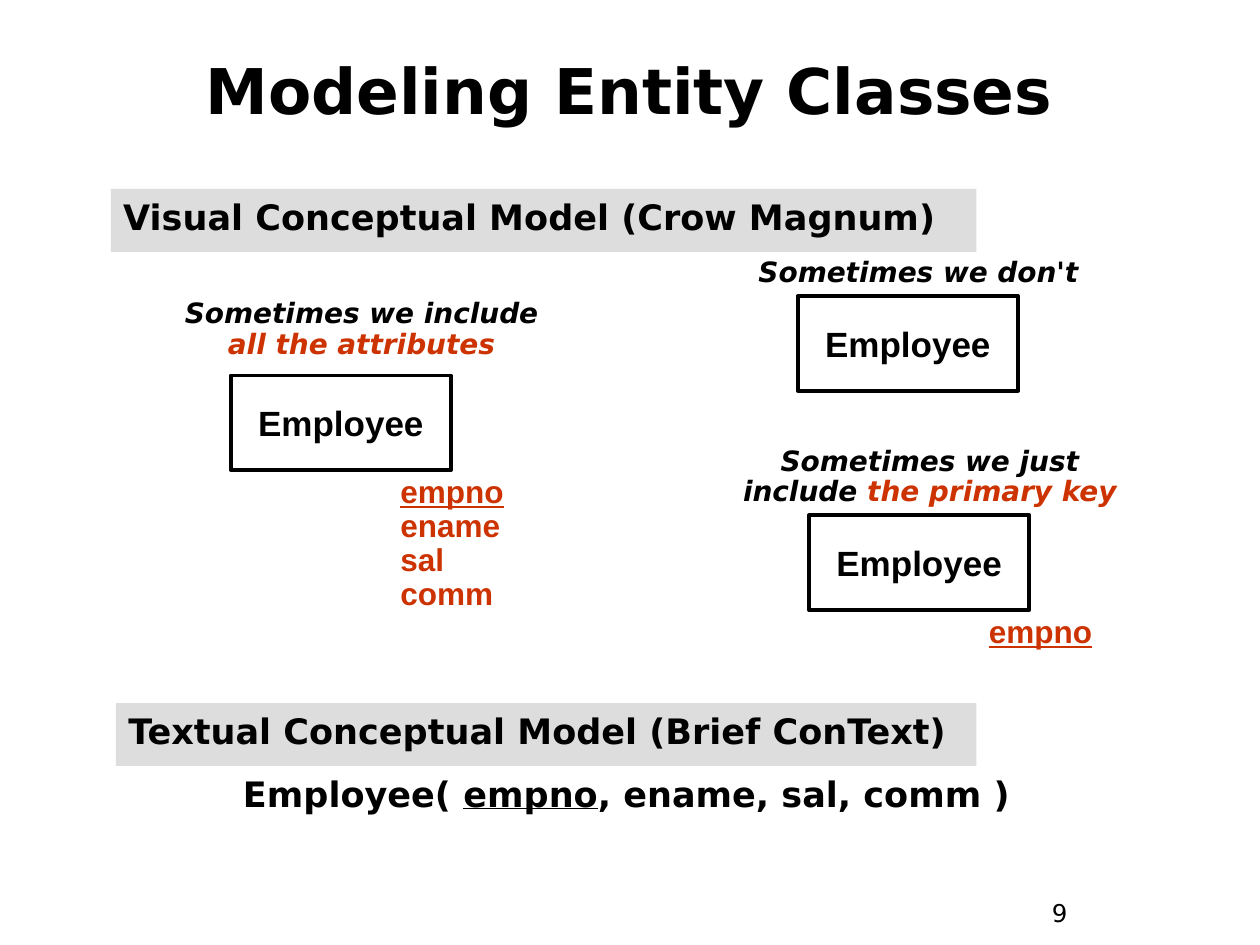
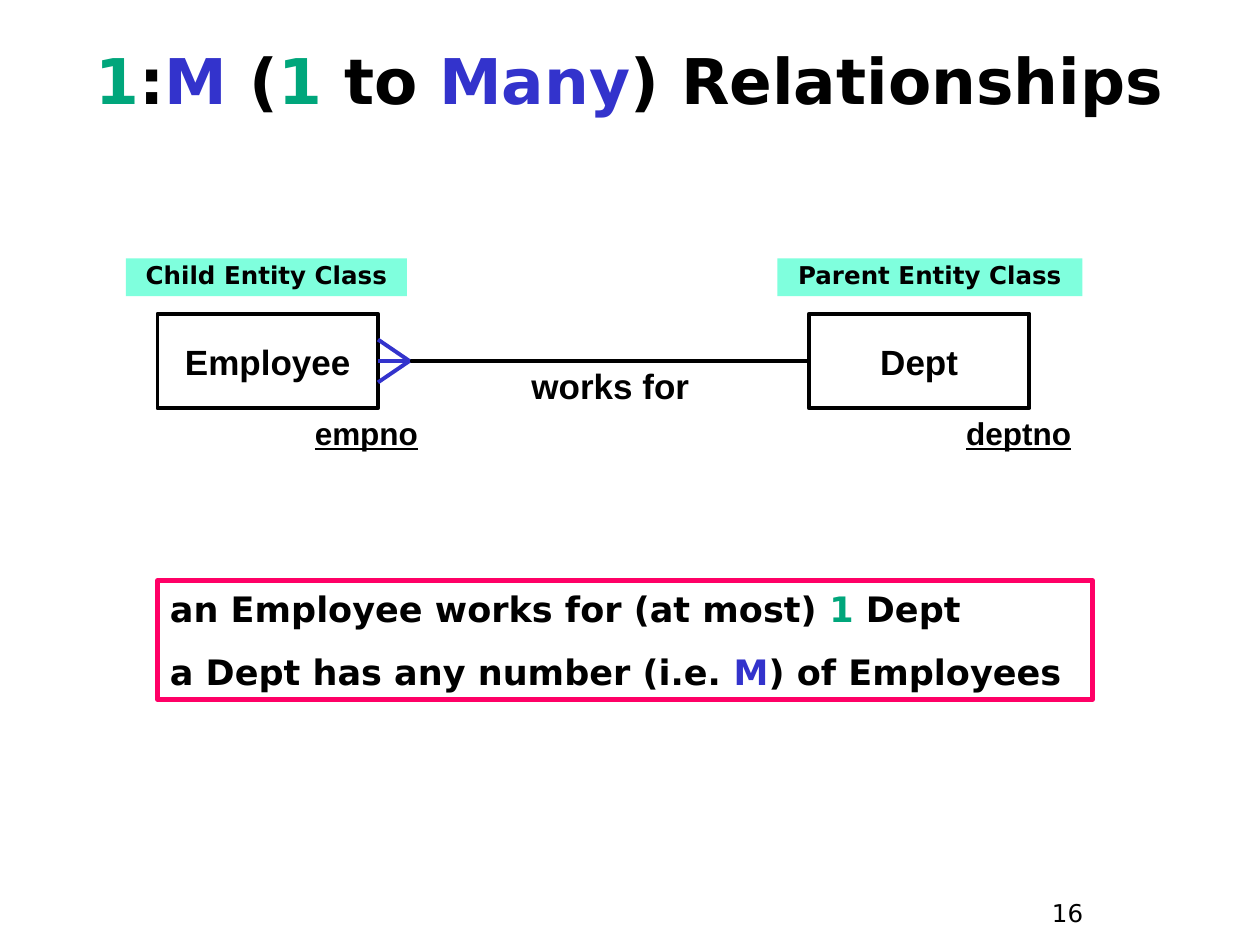
from collections import namedtuple

from lxml.etree import SubElement
from pptx import Presentation
from pptx.dml.color import RGBColor
from pptx.enum.shapes import MSO_CONNECTOR, MSO_SHAPE
from pptx.enum.text import MSO_ANCHOR, MSO_AUTO_SIZE, PP_ALIGN
from pptx.oxml.ns import qn
from pptx.util import Inches, Pt

# Shared look
BLACK = RGBColor(0x00, 0x00, 0x00)
RED = RGBColor(0xCC, 0x33, 0x00)
GREEN = RGBColor(0x00, 0xA6, 0x7B)
BLUE = RGBColor(0x33, 0x33, 0xCC)
PINK = RGBColor(0xFF, 0x00, 0x66)
GREY = RGBColor(0xDD, 0xDD, 0xDD)
MINT = RGBColor(0x7F, 0xFF, 0xDD)
SANS, ARIAL = "DejaVu Sans", "Arial"
ENTITY_WIDTH, ENTITY_HEIGHT = 1.75, 0.75

Span = namedtuple("Span", "text color underline", defaults=(BLACK, False))


def write(shape, lines, size, font=SANS, bold=True, italic=False,
          align=PP_ALIGN.LEFT, anchor=MSO_ANCHOR.TOP, spacing=1.0, gap=0, wrap=True):
    """Fill a shape with lines, each a list of spans; gap parts the lines."""
    frame = shape.text_frame
    frame.auto_size = MSO_AUTO_SIZE.NONE
    frame.word_wrap = wrap
    frame.vertical_anchor = anchor
    frame.margin_left = frame.margin_right = Inches(0.1)
    frame.margin_top = frame.margin_bottom = Inches(0.05)
    for index, spans in enumerate(lines):
        para = frame.add_paragraph() if index else frame.paragraphs[0]
        para.alignment = align
        para.line_spacing = spacing
        para.space_before = Pt(gap if index else 0)
        for span in spans:
            run = para.add_run()
            run.text = span.text
            run.font.name = font
            run.font.size = Pt(size)
            run.font.bold = bold
            run.font.italic = italic
            run.font.underline = span.underline
            run.font.color.rgb = span.color


def add_text(page, left, top, width, height, lines, size, **style):
    box = page.shapes.add_textbox(Inches(left), Inches(top), Inches(width), Inches(height))
    write(box, lines, size, **style)


def add_box(page, left, top, width, height, fill=None, line=None, weight=2.25):
    box = page.shapes.add_shape(MSO_SHAPE.RECTANGLE, Inches(left), Inches(top),
                                Inches(width), Inches(height))
    box.shadow.inherit = False
    if fill is None:
        box.fill.background()
    else:
        box.fill.solid()
        box.fill.fore_color.rgb = fill
    if line is None:
        box.line.fill.background()
    else:
        box.line.color.rgb = line
        box.line.width = Pt(weight)
    return box


def add_line(page, start, end, color):
    line = page.shapes.add_connector(MSO_CONNECTOR.STRAIGHT, *map(Inches, start + end))
    line.line.color.rgb = color
    line.line.width = Pt(2.25)
    SubElement(line._element.spPr, qn("a:effectLst"))
    return line


def add_page(deck, title_top, title, number):
    page = deck.slides.add_slide(deck.slide_layouts[5])
    heading = page.shapes.title
    heading.left, heading.top = Inches(0.33), Inches(title_top)
    heading.width, heading.height = Inches(9.33), Inches(0.92)
    write(heading, [title], 36, align=PP_ALIGN.CENTER, anchor=MSO_ANCHOR.MIDDLE)
    add_text(page, 8.25, 7.08, 0.75, 0.37, [[Span(number)]], 14, bold=False)
    return page


def add_band(page, left, top, width, text):
    band = add_box(page, left, top, width, 0.5, fill=GREY)
    write(band, [[Span(text)]], 20)


def add_entity(page, left, top, name):
    entity = add_box(page, left, top, ENTITY_WIDTH, ENTITY_HEIGHT, line=BLACK)
    write(entity, [[Span(name)]], 20, font=ARIAL, align=PP_ALIGN.CENTER,
          anchor=MSO_ANCHOR.MIDDLE, wrap=False)
    return entity


def add_attributes(page, left, top, names, color):
    """List attributes, with the first one underlined as the key."""
    lines = [[Span(name, color, index == 0)] for index, name in enumerate(names)]
    add_text(page, left, top, 1.17, 0.1 + 0.27 * len(names), lines, 18,
             font=ARIAL, spacing=0.9)


def add_example(page, left, top, caption, caption_box, attributes=(), shift=0):
    """Employee entity with a caption above and attributes below its corner."""
    add_entity(page, left, top, "Employee")
    caption_left, rise, width = caption_box
    add_text(page, left + caption_left, top - rise, width, rise - 0.03, [caption], 16,
             italic=True, align=PP_ALIGN.CENTER, spacing=0.9)
    if attributes:
        add_attributes(page, left + 1.25 + shift, top + ENTITY_HEIGHT, attributes, RED)


def add_labelled_entity(page, left, top, name, key, role, label_width):
    """Entity with a role label above and its key below the right corner."""
    entity = add_entity(page, left, top, name)
    add_attributes(page, left + 1.15, top + 0.78, [key], BLACK)
    label = add_box(page, left - 0.25, top - 0.44, label_width, 0.3, fill=MINT)
    write(label, [[Span(role)]], 14, align=PP_ALIGN.CENTER, spacing=0.85)
    return entity


def add_crow_foot(page, entity, left, middle):
    tip = (left + 0.25, middle)
    for offset in (-0.17, 0.17, 0):
        prong = add_line(page, (left, middle + offset), tip, BLUE)
    prong.begin_connect(entity, 3)


def build_entity_classes(deck):
    page = add_page(deck, 0.25, [Span("Modeling Entity Classes")], "9")

    # Visual model
    add_band(page, 0.88, 1.5, 6.87, "Visual Conceptual Model (Crow Magnum)")
    add_example(page, 1.83, 2.98,
                [Span("Sometimes we include "), Span("all the attributes", RED)],
                (-0.5, 0.65, 3.08), ["empno", "ename", "sal", "comm"])
    add_example(page, 6.33, 2.35, [Span("Sometimes we don't")], (-0.75, 0.35, 3.42))
    add_example(page, 6.42, 4.09,
                [Span("Sometimes we just include "), Span("the primary key", RED)],
                (-0.75, 0.59, 3.42), ["empno"], shift=0.08)

    # Textual model
    add_band(page, 0.92, 5.58, 6.83, "Textual Conceptual Model (Brief ConText)")
    add_text(page, 1.83, 6.08, 6.75, 0.5,
             [[Span("Employee( "), Span("empno", underline=True),
               Span(", ename, sal, comm )")]], 20)


def build_relationships(deck):
    title = [Span("1", GREEN), Span(":"), Span("M", BLUE), Span(" ("), Span("1", GREEN),
             Span(" to "), Span("Many", BLUE), Span(") Relationships")]
    page = add_page(deck, 0.17, title, "16")

    # Entities and the relationship between them
    child_left, parent_left, top = 1.25, 6.42, 2.49
    child = add_labelled_entity(page, child_left, top, "Employee", "empno",
                                "Child Entity Class", 2.23)
    parent = add_labelled_entity(page, parent_left, top, "Dept", "deptno",
                                 "Parent Entity Class", 2.42)
    child_right, middle = child_left + ENTITY_WIDTH, top + ENTITY_HEIGHT / 2
    works_for = add_line(page, (parent_left, middle), (child_right, middle), BLACK)
    works_for.begin_connect(parent, 1)
    works_for.end_connect(child, 3)
    add_crow_foot(page, child, child_right, middle)
    add_text(page, 4.01, 2.84, 1.67, 0.44, [[Span("works for")]], 20, font=ARIAL,
             align=PP_ALIGN.CENTER)

    # Rules in words
    rules = add_box(page, 1.25, 4.61, 7.42, 0.94, line=PINK, weight=3)
    write(rules, [
        [Span("an Employee works for (at most) "), Span("1", GREEN), Span(" Dept")],
        [Span("a Dept has any number (i.e. "), Span("M", BLUE), Span(") of Employees")],
    ], 20, gap=12.5)


def main():
    deck = Presentation()
    deck.slide_width, deck.slide_height = Inches(10), Inches(7.5)
    build_entity_classes(deck)
    build_relationships(deck)
    deck.save("out.pptx")


if __name__ == "__main__":
    main()
